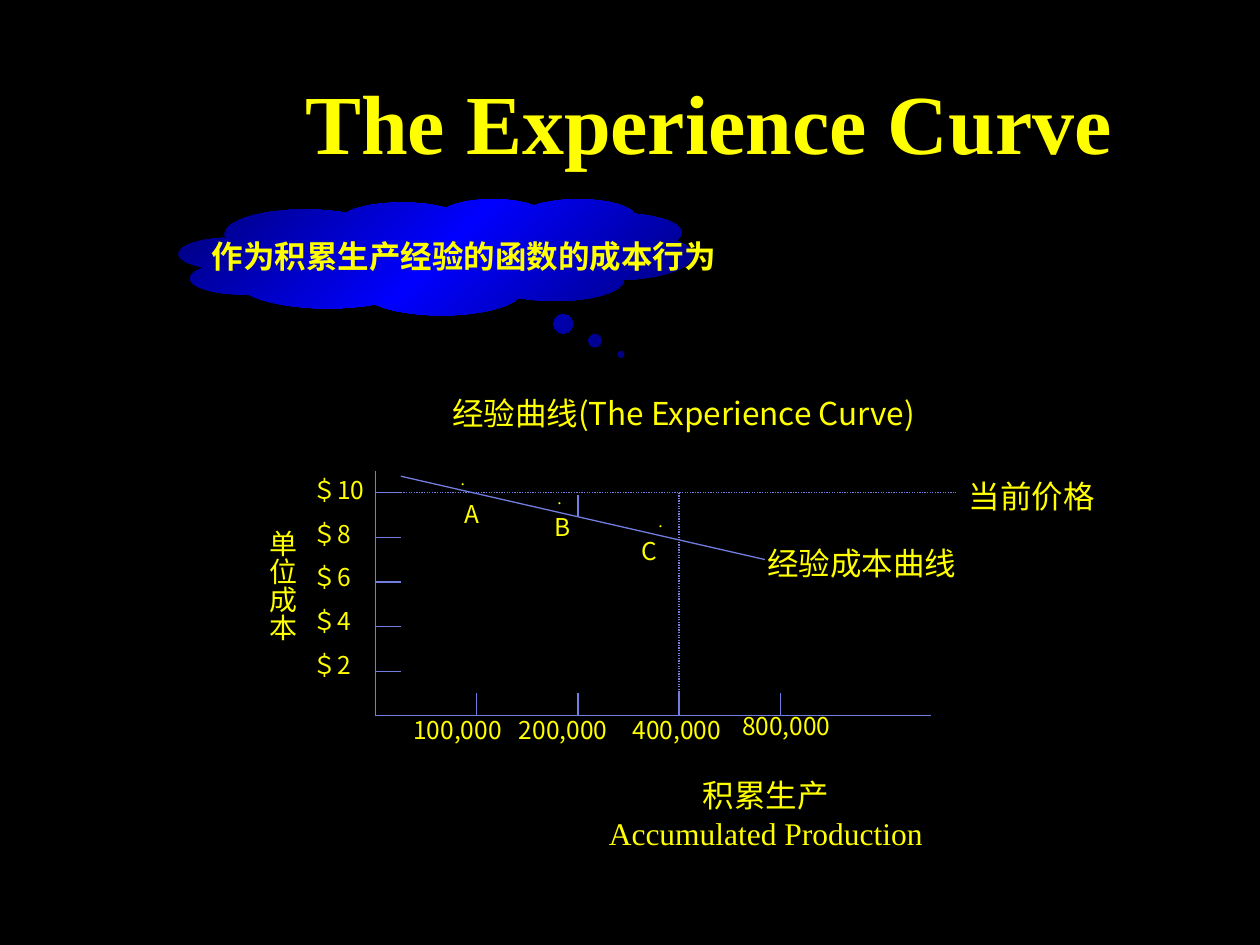
from copy import deepcopy

from lxml import etree
from pptx import Presentation
from pptx.dml.color import RGBColor
from pptx.enum.dml import MSO_LINE
from pptx.enum.shapes import MSO_CONNECTOR, MSO_SHAPE
from pptx.enum.text import MSO_ANCHOR, PP_ALIGN
from pptx.oxml.ns import qn
from pptx.util import Cm, Pt

BLACK = RGBColor(0x00, 0x00, 0x00)
YELLOW = RGBColor(0xFF, 0xFF, 0x00)
NAVY = RGBColor(0x00, 0x00, 0x75)
BLUE = RGBColor(0x00, 0x00, 0xFF)
LINE = RGBColor(0x72, 0x7D, 0xE0)
SERIF = "Times New Roman"
SANS = "Noto Sans CJK SC"
LEFT, CENTER = PP_ALIGN.LEFT, PP_ALIGN.CENTER
MIDDLE = MSO_ANCHOR.MIDDLE
STRAIGHT = MSO_CONNECTOR.STRAIGHT
CLOUD = MSO_SHAPE.CLOUD_CALLOUT
DOTTED = MSO_LINE.ROUND_DOT


def format_paragraph(p, size, font, bold, align):
    p.alignment = align
    p.font.size = Pt(size)
    p.font.bold = bold
    p.font.name = font
    p.font.color.rgb = YELLOW
    ea = etree.SubElement(p._p.pPr.find(qn("a:defRPr")), qn("a:ea"))
    ea.set("typeface", SANS)


def add_text(slide, text, x, y, w, h, size=14, font=SANS, bold=False, align=LEFT):
    s = slide.shapes.add_textbox(Cm(x), Cm(y), Cm(w), Cm(h))
    tf = s.text_frame
    tf.word_wrap = True
    tf.text = text
    for p in tf.paragraphs:
        format_paragraph(p, size, font, bold, align)
    return s


def add_line(slide, x1, y1, x2, y2, dash=None):
    s = slide.shapes.add_connector(STRAIGHT, Cm(x1), Cm(y1), Cm(x2), Cm(y2))
    s.line.color.rgb = LINE
    s.line.width = Pt(0.75)
    if dash:
        s.line.dash_style = dash
    etree.SubElement(s._element.spPr, qn("a:effectLst"))


def add_title(slide, x, y, w, h):
    s = slide.shapes.title
    s.left, s.top, s.width, s.height = Cm(x), Cm(y), Cm(w), Cm(h)
    tf = s.text_frame
    tf.vertical_anchor = MIDDLE
    tf.text = "The Experience Curve"
    format_paragraph(tf.paragraphs[0], 48, SERIF, True, CENTER)


def add_cloud(slide, x, y, w, h):
    s = slide.shapes.add_shape(CLOUD, Cm(x), Cm(y), Cm(w), Cm(h))
    s.adjustments[0] = 0.36
    s.adjustments[1] = 0.84
    s.shadow.inherit = False
    s.line.fill.background()
    s.fill.gradient()
    s.fill.gradient_angle = 315
    stops = s._element.spPr.find(".//" + qn("a:gsLst"))
    stops.append(deepcopy(stops[0]))
    colors = ((0, NAVY), (0.5, BLUE), (1, NAVY))
    for stop, (position, color) in zip(s.fill.gradient_stops, colors):
        stop.position = position
        stop.color.rgb = color
    add_text(slide, "作为积累生产经验的函数的成本行为", x + 0.41, y + 0.64,
             11.63, 1.02, 18, SERIF, True)


def add_axes(slide, x, y, w, h, x_step, y_step):
    base = y + h
    add_line(slide, x, y, x, base)
    add_line(slide, x, base, x + w, base)
    for i in range(1, 6):
        tick = base - i * y_step
        add_line(slide, x, tick, x + 0.51, tick)
        add_text(slide, f"＄{2 * i}", x - 1.52, y + 4.35 - 0.88 * i, 2.03, 1.78)
    labels = (("100,000", 0.51, 4.78), ("200,000", 2.64, 4.78),
              ("400,000", 4.93, 4.78), ("800,000", 7.14, 4.7))
    for i, (text, dx, dy) in enumerate(labels, 1):
        tick = x + i * x_step
        add_line(slide, tick, base - 0.45, tick, base)
        add_text(slide, text, x + dx, y + dy, 3.56, 1.35)


def add_experience_chart(slide, x, y, w, h):
    x_step, y_step = 2.04, 0.9
    price = y + h - 5 * y_step
    add_text(slide, "经验曲线(The Experience Curve)", x - 1.98, y - 1.68,
             16.38, 2.69, 18, align=CENTER)
    add_axes(slide, x, y, w, h, x_step, y_step)

    add_line(slide, x + 0.51, price, x + w + 0.51, price, DOTTED)
    add_line(slide, x + 3 * x_step, y + h, x + 3 * x_step, price, DOTTED)
    add_line(slide, x + 2 * x_step, price + 0.05, x + 2 * x_step, price + 0.5)
    add_line(slide, x + 0.51, y + 0.1, x + 7.85, y + 1.78)

    for dx, dy in ((1.45, -0.08), (3.4, 0.3), (5.44, 0.76)):
        add_text(slide, "·", x + dx, y + dy, 1.52, 1.78, 10, SERIF)
    for text, dx, dy in (("A", 1.55, 0.43), ("B", 3.35, 0.69), ("C", 5.11, 1.19)):
        add_text(slide, text, x + dx, y + dy, 1.52, 1.35)
    add_text(slide, "经验成本曲线", x + 7.65, y + 1.35, 5.59, 2.24, 18)
    add_text(slide, "当前价格", x + 11.71, y, 3.56, 1.35, 18)

    s = add_text(slide, "单位成本", x - 2.92, y + 0.94, 1.52, 5.36, 16)
    tf = s.text_frame
    tf.margin_left = tf.margin_right = Cm(0.13)
    tf.margin_top = tf.margin_bottom = Cm(0.25)
    tf._txBody.bodyPr.set("vert", "eaVert")
    add_text(slide, "积累生产\nAccumulated Production", x + 4.06, y + 6.02,
             7.62, 1.35, 18, SERIF, align=CENTER)


def main():
    prs = Presentation()
    prs.slide_width, prs.slide_height = Cm(25.4), Cm(19.05)
    slide = prs.slides.add_slide(prs.slide_layouts[5])
    slide.background.fill.solid()
    slide.background.fill.fore_color.rgb = BLACK
    add_cloud(slide, 3.61, 4.01, 10.36, 2.34)
    add_title(slide, 3.81, 0.84, 20.96, 3.18)
    add_experience_chart(slide, 7.57, 9.5, 11.2, 4.93)
    prs.save("out.pptx")


if __name__ == "__main__":
    main()
